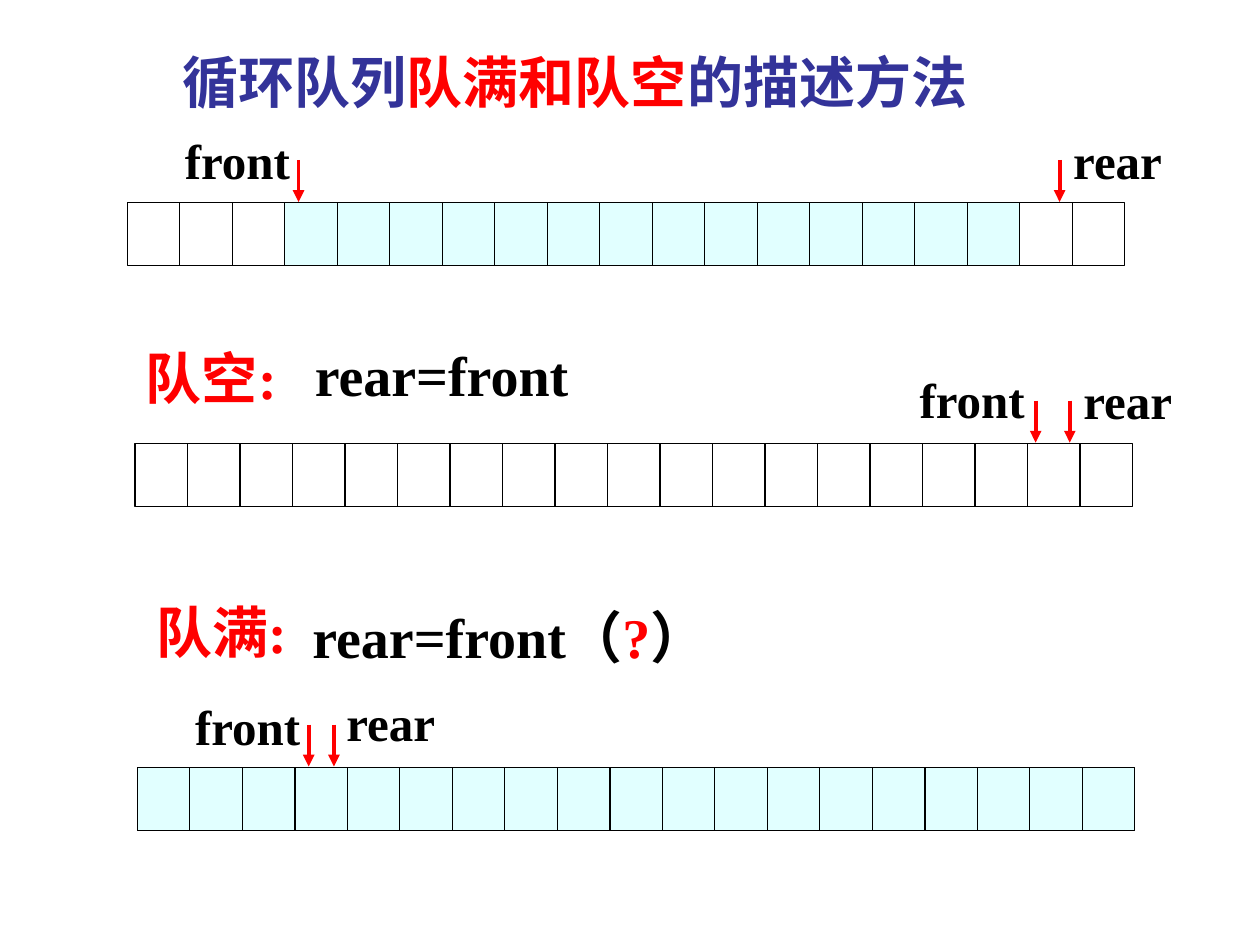
from dataclasses import dataclass

from lxml.etree import SubElement
from pptx import Presentation
from pptx.dml.color import RGBColor
from pptx.enum.shapes import MSO_CONNECTOR, MSO_SHAPE
from pptx.oxml.ns import qn
from pptx.slide import Slide
from pptx.util import Pt

COLORS = {
    "ink": "000000",
    "title": "333399",
    "accent": "FF0000",
    "occupied": "E1FFFF",
}
FONT = "Times New Roman"
CELL_COUNT = 19
CELL_WIDTH = 30
CELL_HEIGHT = 36
ARROW_LENGTH = 24


@dataclass
class Label:
    left: float
    top: float
    width: float
    size: int
    runs: list[tuple[str, str]]  # text and colour name
    wrap: bool = True


@dataclass
class Pointer:
    name: str
    label_left: float
    label_top: float
    arrow_x: float


@dataclass
class Queue:
    left: float
    top: float
    first_occupied: int
    occupied_count: int
    pointers: list[Pointer]


HEADINGS = [
    Label(97.2, 23.8, 494.6, 32,
          [("循环队列", "title"), ("队满和队空", "accent"), ("的描述方法", "title")]),
    Label(76.3, 193, 120, 32, [("队空:", "accent")]),
    Label(172.8, 190.8, 204.5, 32, [("rear=front", "ink")]),
    Label(82.1, 337.7, 120, 32, [("队满:", "accent")]),
    Label(171.4, 340.6, 277.9, 32,
          [("rear=front（", "ink"), ("?", "accent"), ("）", "ink")]),
]

QUEUES = [
    Queue(72.7, 115.9, 3, 14, [
        Pointer("front", 98.6, 71.3, 170.6),
        Pointer("rear", 606.2, 71.3, 605.5),
    ]),
    Queue(77.2, 253.4, 0, 0, [
        Pointer("front", 518.4, 207.4, 591.8),
        Pointer("rear", 612, 208.1, 611.3),
    ]),
    Queue(78.5, 438.5, 0, CELL_COUNT, [
        Pointer("front", 104.4, 394.6, 176.4),
        Pointer("rear", 190.8, 392.4, 190.8),
    ]),
]


def color(name: str) -> RGBColor:
    return RGBColor.from_string(COLORS[name])


def add_label(slide: Slide, label: Label) -> None:
    height = label.size * 1.2 + 7.2
    shape = slide.shapes.add_textbox(
        Pt(label.left), Pt(label.top), Pt(label.width), Pt(height))
    shape.text_frame.word_wrap = label.wrap
    paragraph = shape.text_frame.paragraphs[0]
    paragraph.font.name = FONT
    paragraph.font.size = Pt(label.size)
    paragraph.font.bold = True
    for text, color_name in label.runs:
        run = paragraph.add_run()
        run.text = text
        run.font.color.rgb = color(color_name)


def add_vertical_line(slide: Slide, x: float, top: float, length: float,
                      color_name: str, weight: float, arrow: bool = False) -> None:
    connector = slide.shapes.add_connector(
        MSO_CONNECTOR.STRAIGHT, Pt(x), Pt(top), Pt(x), Pt(top + length))
    connector.line.color.rgb = color(color_name)
    connector.line.width = Pt(weight)
    if arrow:
        SubElement(connector.line._get_or_add_ln(), qn("a:tailEnd"), type="triangle")
    SubElement(connector._element.spPr, qn("a:effectLst"))


def add_cell_block(slide: Slide, queue: Queue, first: int, count: int,
                   occupied: bool) -> None:
    shape = slide.shapes.add_shape(
        MSO_SHAPE.RECTANGLE, Pt(queue.left + first * CELL_WIDTH), Pt(queue.top),
        Pt(count * CELL_WIDTH), Pt(CELL_HEIGHT))
    shape.shadow.inherit = False
    shape.line.color.rgb = color("ink")
    shape.line.width = Pt(0.75)
    if occupied:
        shape.fill.solid()
        shape.fill.fore_color.rgb = color("occupied")
    else:
        shape.fill.background()


def add_queue(slide: Slide, queue: Queue) -> None:
    # Outer frame, occupied cells and dividers
    add_cell_block(slide, queue, 0, CELL_COUNT, False)
    if queue.occupied_count:
        add_cell_block(slide, queue, queue.first_occupied, queue.occupied_count, True)
    for index in range(1, CELL_COUNT):
        add_vertical_line(slide, queue.left + index * CELL_WIDTH, queue.top,
                          CELL_HEIGHT, "ink", 0.75)
    # Front and rear pointers
    for pointer in queue.pointers:
        width = 75 if pointer.name == "front" else 65.5
        add_label(slide, Label(pointer.label_left, pointer.label_top, width, 28,
                               [(pointer.name, "ink")], wrap=False))
        add_vertical_line(slide, pointer.arrow_x, queue.top - ARROW_LENGTH - 0.5,
                          ARROW_LENGTH, "accent", 2.25, arrow=True)


def main() -> None:
    presentation = Presentation()
    presentation.slide_width = Pt(720)
    presentation.slide_height = Pt(540)
    slide = presentation.slides.add_slide(presentation.slide_layouts[6])
    for heading in HEADINGS:
        add_label(slide, heading)
    for queue in QUEUES:
        add_queue(slide, queue)
    presentation.save("out.pptx")


if __name__ == "__main__":
    main()
